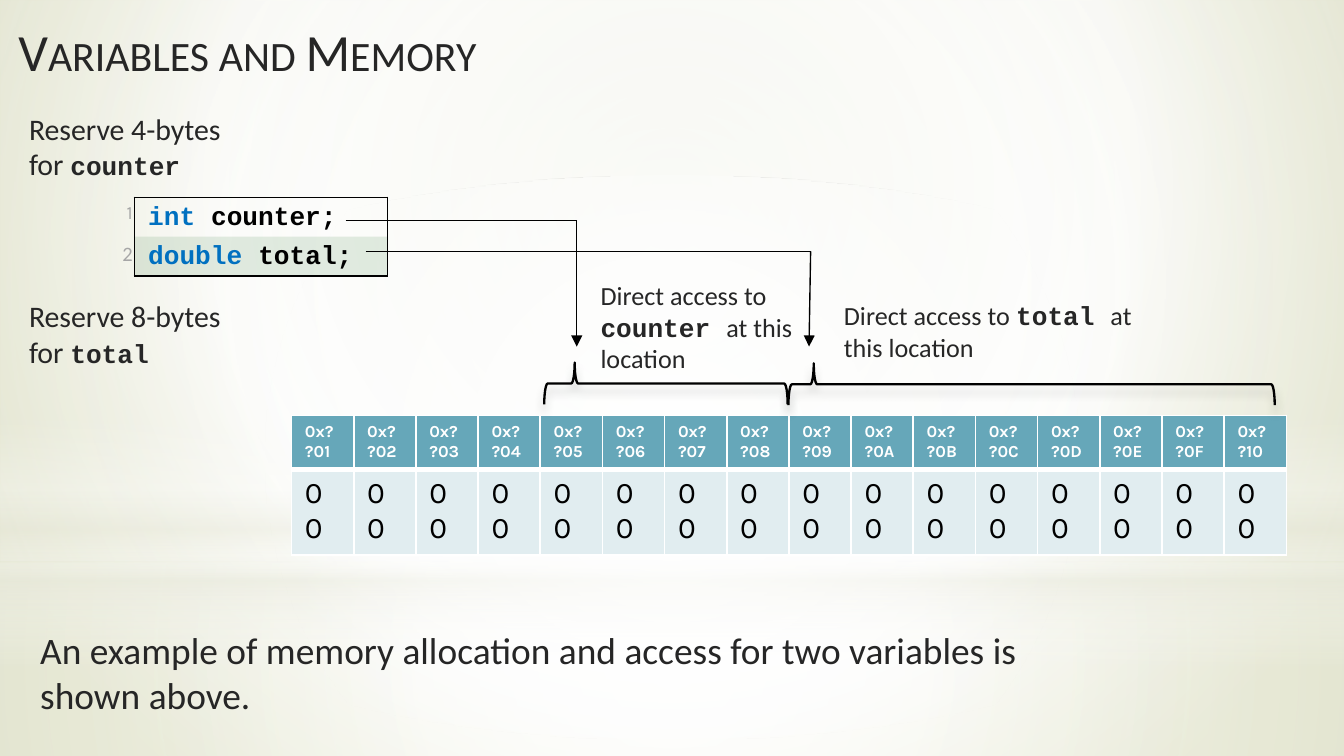
from pptx import Presentation, oxml, util as u
from pptx.dml.color import RGBColor
from pptx.enum import shapes, text
from pptx.oxml import ns

BODY, CODE, LABEL = "Calibri", "Courier New", "Karla"
INK, BLACK, WHITE, KEYWORD, GREY = "262626", "000000", "FFFFFF", "0070C0", "A6A6A6"


def color(value):
    """Turn a hex string into a colour."""
    return RGBColor.from_string(value)


def box(values):
    """Turn centimetres into lengths."""
    return [u.Cm(value) for value in values]


def element(tag, markup="", **attributes):
    """Make a DrawingML element."""
    settings = " ".join(f'{name}="{value}"' for name, value in attributes.items())
    return oxml.parse_xml(f'<a:{tag} {ns.nsdecls("a")} {settings}>{markup}</a:{tag}>')


def tint(value, alpha=100):
    """Give the markup of a colour with its opacity in percent."""
    return f'<a:srgbClr val="{value}"><a:alpha val="{alpha * 1000}"/></a:srgbClr>'


def replace_fill(properties, fill):
    """Swap the solid fill in some properties for another fill."""
    solid = properties.find(ns.qn("a:solidFill"))
    properties.replace(solid, fill)


def gradient(stops, center=None):
    """Make a circular gradient, or a vertical one when there is no center."""
    marks = "".join(f'<a:gs pos="{place * 1000}">{tint(*shade)}</a:gs>'
                    for place, *shade in stops)
    if center:
        sides = " ".join(f'{side}="{value * 1000}"' for side, value in zip("ltrb", center))
        direction = f'<a:path path="circle"><a:fillToRect {sides}/></a:path>'
    else:
        direction = '<a:lin ang="5400000" scaled="0"/>'
    return element("gradFill", f"<a:gsLst>{marks}</a:gsLst>{direction}", rotWithShape=1)


def add_glow(slide, kind, place, stops, center=(50, 50, 50, 50)):
    """Add a borderless shape with a soft gradient."""
    shape = slide.shapes.add_shape(kind, *box(place))
    shape.shadow.inherit = False
    shape.line.fill.background()
    shape.fill.solid()
    replace_fill(shape._element.spPr, gradient(stops, center))


def write(paragraph, runs):
    """Add runs given as wording, size, font, colour and boldness."""
    for wording, size, font, ink, bold in runs:
        run = paragraph.add_run()
        run.text = wording
        run.font.size, run.font.name, run.font.bold = u.Pt(size), font, bold
        run.font.color.rgb = color(ink)


def add_text(slide, place, runs):
    """Add a wrapping text box."""
    shape = slide.shapes.add_textbox(*box(place))
    shape.text_frame.word_wrap = True
    write(shape.text_frame.paragraphs[0], runs)
    return shape


def add_title(slide):
    """Add the title in small capitals."""
    shape = add_text(slide, (0.1, 0.15, 10.8, 1.6),
                     [("Variables and Memory", 28, BODY, INK, False)])
    shape.text_frame.vertical_anchor = text.MSO_ANCHOR.MIDDLE
    font = shape.text_frame.paragraphs[0].runs[0].font
    font._element.set("cap", "small")


def add_note(slide, place, size, lead, name, rest=""):
    """Add a remark that names a variable in code type."""
    runs = [(lead, size, BODY, INK, False), (name, 14, CODE, INK, True)]
    if rest:
        runs.append((rest, size, BODY, INK, False))
    add_text(slide, place, runs)


def set_borders(cell, ink, **widths):
    """Draw the named sides of a cell in points and clear the others."""
    properties = cell._tc.get_or_add_tcPr()
    for index, side in enumerate("LRTB"):
        width = widths.get(side, 0)
        fill = f"<a:solidFill>{tint(ink)}</a:solidFill>" if width else "<a:noFill/>"
        properties.insert(index, element(f"ln{side}", fill, w=u.Pt(width)))


def add_table(slide, place, widths, row_count):
    """Add a table without style bands."""
    table = slide.shapes.add_table(row_count, len(widths), *box(place)).table
    table.first_row = table.horz_banding = False
    for column, width in zip(table.columns, widths):
        column.width = u.Cm(width)
    return table


def add_code(slide):
    """Add the numbered lines of code."""
    table = add_table(slide, (2.11, 3.73, 5.21, 1.47), (0.43, 4.78), 2)
    lines = [("int ", "counter;", 10, LABEL, "T"), ("double ", "total;", 11, BODY, "B")]
    for row, (keyword, name, size, font, edge) in enumerate(lines):
        number, code = table.cell(row, 0), table.cell(row, 1)
        write(number.text_frame.paragraphs[0], [(str(row + 1), size, font, GREY, False)])
        write(code.text_frame.paragraphs[0], [(keyword, 14, CODE, KEYWORD, True),
                                              (name, 14, CODE, BLACK, True)])
        number.text_frame.paragraphs[0].alignment = text.PP_ALIGN.RIGHT
        for cell in (number, code):
            cell.margin_left = cell.margin_right = u.Cm(0.03)
            cell.margin_top = cell.margin_bottom = u.Cm(0.03)
            cell.text_frame.paragraphs[0].line_spacing = 1.15
            cell.fill.background()
        code.margin_left = u.Cm(0.26)
        set_borders(number, BLACK, R=1)
        set_borders(code, BLACK, L=1, R=1, **{edge: 1})
    code.fill.solid()
    replace_fill(code._tc.tcPr, element("solidFill", tint("72A376", 20)))


def add_memory(slide):
    """Add the table of addresses and bytes."""
    count = 16
    table = add_table(slide, (5.51, 7.85, 18.8, 2.06), [18.8 / count] * count, 2)
    for column in range(count):
        styles = [(f"0x??{column + 1:02X}", 9, WHITE, True, "66A7B9", {"T": 1, "B": 3}),
                  ("00", 16, BLACK, False, "E1EDF0", {"T": 3, "B": 1})]
        for row, (wording, size, ink, bold, fill, edges) in enumerate(styles):
            cell = table.cell(row, column)
            write(cell.text_frame.paragraphs[0], [(wording, size, LABEL, ink, bold)])
            cell.fill.solid()
            cell.fill.fore_color.rgb = color(fill)
            set_borders(cell, WHITE, L=1, R=1, **edges)


def add_brace(slide, place, point):
    """Add a brace that opens downwards over some bytes."""
    shape = slide.shapes.add_shape(shapes.MSO_SHAPE.LEFT_BRACE, *box(place))
    shape.rotation = 90
    shape.adjustments[0], shape.adjustments[1] = 0.083, point
    shape.fill.background()
    shape.line.color.rgb = color(BLACK)
    shape.line.width = u.Pt(1.25)
    shape.shadow.inherit = False
    shadow = element("outerShdw", tint(BLACK, 20), blurRad=u.Pt(5), dist=u.Pt(4),
                     dir=5400000, rotWithShape=0)
    shape._element.spPr.find(ns.qn("a:effectLst")).append(shadow)


def add_line(slide, start, end, arrow=False):
    """Add a thin line, with an arrowhead at its end if asked."""
    line = slide.shapes.add_connector(shapes.MSO_CONNECTOR.STRAIGHT, *box(start + end))
    line.line.color.rgb = color(BLACK)
    line.line.width = u.Pt(0.75)
    if arrow:
        line.line._get_or_add_ln().append(element("tailEnd", type="triangle"))
    line._element.spPr.append(element("effectLst"))


def add_backdrop(slide):
    """Paint the background and its soft light."""
    slide.background.fill.solid()
    replace_fill(slide._element.find(".//" + ns.qn("p:bgPr")), gradient(
        [(0, "E3E5D1"), (60, WHITE), (100, "CCD09F")], (20, 10, 20, 60)))
    rectangle, ellipse = shapes.MSO_SHAPE.RECTANGLE, shapes.MSO_SHAPE.OVAL
    cream = "EAEBDE"
    add_glow(slide, rectangle, (0, 10.64, 25.4, 3.65),
             [(0, WHITE, 91), (37, WHITE, 76), (100, cream, 79)])
    add_glow(slide, rectangle, (0, 0, 25.4, 10.64),
             [(0, WHITE, 89), (48, WHITE, 62), (100, cream, 79)])
    add_glow(slide, rectangle, (0, 7.85, 25.4, 4.78),
             [(0, WHITE, 0), (29, WHITE, 30), (45, cream, 40), (55, WHITE, 26),
              (65, cream, 60), (100, WHITE, 0)], None)
    add_glow(slide, ellipse, (0, 3.33, 25.4, 10.64), [(0, WHITE, 100), (56, WHITE, 0)])


def main():
    """Build the slide and save it."""
    presentation = Presentation()
    presentation.slide_width, presentation.slide_height = u.Cm(25.4), u.Cm(14.29)
    slide = presentation.slides.add_slide(presentation.slide_layouts[6])
    add_backdrop(slide)
    add_title(slide)
    add_text(slide, (0.51, 11.73, 20.19, 1.96), [
        ("An example of memory allocation and access for two variables is shown above.",
         20, BODY, INK, False)])
    add_code(slide)
    add_memory(slide)
    add_brace(slide, (19.1, 2.67, 0.79, 9.19), 0.948)
    add_brace(slide, (12.19, 4.95, 0.79, 4.6), 0.875)
    access = "Direct access to "
    add_note(slide, (15.7, 5.54, 5.99, 1.45), 14, access, "total ", "at this location")
    add_note(slide, (11.1, 5.16, 4.6, 2.06), 14, access, "counter ", "at this location")
    add_note(slide, (0.3, 1.96, 4.6, 1.63), 16, "Reserve 4-bytes for ", "counter")
    add_note(slide, (0.3, 5.51, 4.39, 1.63), 16, "Reserve 8-bytes for ", "total")
    for start, corner, end in [((6.91, 4.75), (15.32, 4.75), (15.29, 6.55)),
                               ((6.53, 4.17), (10.9, 4.17), (10.9, 6.55))]:
        add_line(slide, start, corner)
        add_line(slide, corner, end, arrow=True)
    presentation.save("out.pptx")


if __name__ == "__main__":
    main()
